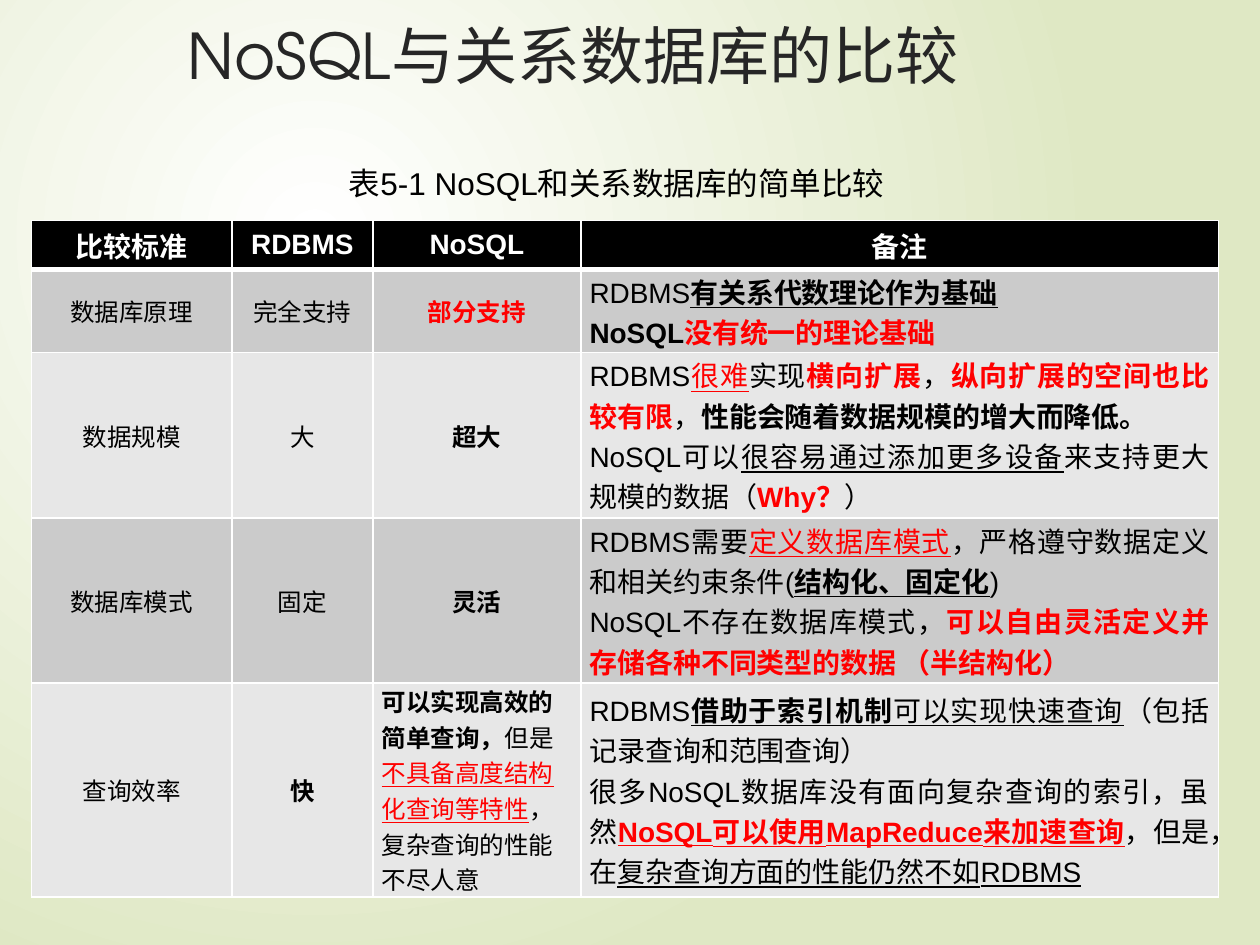
from lxml import etree
from pptx import Presentation
from pptx.dml.color import RGBColor
from pptx.enum.text import MSO_ANCHOR, PP_ALIGN
from pptx.oxml.ns import qn
from pptx.util import Inches, Pt

TOP, MIDDLE = MSO_ANCHOR.TOP, MSO_ANCHOR.MIDDLE
LEFT, CENTER, JUSTIFY = PP_ALIGN.LEFT, PP_ALIGN.CENTER, PP_ALIGN.JUSTIFY

WHITE, BLACK, RED = "FFFFFF", "000000", "FF0000"
BANDS = ["CBCBCB", "E7E7E7"]
COLUMN_WIDTHS = [1.59, 1.12, 1.65, 5.06]
ROW_HEIGHTS = [0.39, 0.66, 1.31, 1.31, 1.7]

HEADINGS = ["比较标准", "RDBMS", "NoSQL", "备注"]

# A cell is a list of paragraphs, a paragraph a list of (text, marks):
# b is bold, u is underlined, r is red.
COMPARISON = [
    [
        [[("数据库原理", "")]],
        [[("完全支持", "")]],
        [[("部分支持", "br")]],
        [[("RDBMS", ""), ("有关系代数理论作为基础", "bu")],
         [("NoSQL", "b"), ("没有统一的理论基础", "br")]],
    ],
    [
        [[("数据规模", "")]],
        [[("大", "")]],
        [[("超大", "b")]],
        [[("RDBMS", ""), ("很难", "ur"), ("实现", ""), ("横向扩展", "br"), ("，", ""),
          ("纵向扩展的空间也比较有限", "br"), ("，", ""),
          ("性能会随着数据规模的增大而降低。", "b")],
         [("NoSQL可以", ""), ("很容易通过添加更多设备", "u"),
          ("来支持更大规模的数据（", ""), ("Why？", "br"), ("）", "")]],
    ],
    [
        [[("数据库模式", "")]],
        [[("固定", "")]],
        [[("灵活", "b")]],
        [[("RDBMS需要", ""), ("定义数据库模式", "ur"),
          ("，严格遵守数据定义和相关约束条件(", ""), ("结构化、固定化", "bu"), (")", "")],
         [("NoSQL不存在数据库模式，", ""),
          ("可以自由灵活定义并存储各种不同类型的数据 （半结构化）", "br")]],
    ],
    [
        [[("查询效率", "")]],
        [[("快", "b")]],
        [[("可以实现高效的简单查询，", "b"), ("但是", ""),
          ("不具备高度结构化查询等特性", "ur"), ("，复杂查询的性能不尽人意", "")]],
        [[("RDBMS", ""), ("借助于索引机制", "bu"), ("可以实现快速查询", "u"),
          ("（包括记录查询和范围查询）", "")],
         [("很多NoSQL数据库没有面向复杂查询的索引，虽然", ""),
          ("NoSQL可以使用MapReduce来加速查询", "bur"), ("，但是，在", ""),
          ("复杂查询方面的性能仍然不如RDBMS", "u")]],
    ],
]


def rgb(value):
    return RGBColor.from_string(value)


class ComparisonSlide:
    body_font = "Arial"
    title_font = "TeX Gyre Adventor"

    def __init__(self, slide):
        self.slide = slide

    def background(self, center, edge):
        """Fill the background with a circular gradient."""
        fill = self.slide.background.fill
        fill.gradient()
        for stop, color, position in zip(fill.gradient_stops, (center, edge), (0, 1)):
            stop.color.rgb = rgb(color)
            stop.position = position
        gradient = self.slide.background._cSld.find(".//" + qn("a:gradFill"))
        linear = gradient.find(qn("a:lin"))
        circle = etree.Element(qn("a:path"), path="circle")
        etree.SubElement(circle, qn("a:fillToRect"),
                         l="50000", t="50000", r="100000", b="100000")
        gradient.replace(linear, circle)

    def text(self, words, left, top, width, height, size, color, font, anchor):
        box = self.slide.shapes.add_textbox(
            Inches(left), Inches(top), Inches(width), Inches(height))
        frame = box.text_frame
        frame.word_wrap = True
        frame.vertical_anchor = anchor
        paragraph = frame.paragraphs[0]
        paragraph.text = words
        paragraph.font.size = Pt(size)
        paragraph.font.name = font
        paragraph.font.color.rgb = rgb(color)

    def table(self, left, top, widths, heights):
        table = self.slide.shapes.add_table(
            len(heights), len(widths), Inches(left), Inches(top),
            Inches(sum(widths)), Inches(sum(heights))).table
        for column, width in zip(table.columns, widths):
            column.width = Inches(width)
        for row, height in zip(table.rows, heights):
            row.height = Inches(height)
        return table

    def cell(self, cell, paragraphs, fill, size, align, color=BLACK, top=1, bottom=1):
        cell.margin_left = cell.margin_right = Inches(0.07)
        cell.margin_top = cell.margin_bottom = 0
        cell.vertical_anchor = MIDDLE
        self.borders(cell, {"L": 1, "R": 1, "T": top, "B": bottom})
        cell.fill.solid()
        cell.fill.fore_color.rgb = rgb(fill)
        frame = cell.text_frame
        for index, runs in enumerate(paragraphs):
            paragraph = frame.add_paragraph() if index else frame.paragraphs[0]
            paragraph.alignment = align
            paragraph.font.size = Pt(size)
            paragraph.font.name = self.body_font
            for words, marks in runs:
                run = paragraph.add_run()
                run.text = words
                run.font.bold = "b" in marks
                run.font.underline = "u" in marks
                run.font.color.rgb = rgb(RED if "r" in marks else color)

    def borders(self, cell, widths):
        properties = cell._tc.get_or_add_tcPr()
        for side, width in widths.items():
            line = etree.SubElement(properties, qn("a:ln" + side), w=str(Pt(width)))
            solid = etree.SubElement(line, qn("a:solidFill"))
            etree.SubElement(solid, qn("a:srgbClr"), val=WHITE)


def main():
    deck = Presentation()
    deck.slide_width, deck.slide_height = Inches(10), Inches(7.5)
    page = ComparisonSlide(deck.slides.add_slide(deck.slide_layouts[6]))
    page.background(WHITE, "DFE8C4")
    page.text(" NoSQL与关系数据库的比较", 1.25, 0.08, 8.75, 1, 36, "262626",
              page.title_font, TOP)

    table = page.table(0.25, 1.75, COLUMN_WIDTHS, ROW_HEIGHTS)
    for column, heading in enumerate(HEADINGS):
        page.cell(table.cell(0, column), [[(heading, "b")]], BLACK, 16, CENTER,
                  color=WHITE, bottom=3)
    remarks = len(HEADINGS) - 1
    for row, criteria in enumerate(COMPARISON, start=1):
        for column, paragraphs in enumerate(criteria):
            long_text = len(paragraphs[0]) > 1
            align = JUSTIFY if column == remarks else LEFT if long_text else CENTER
            page.cell(table.cell(row, column), paragraphs, BANDS[(row - 1) % 2],
                      16 if column == remarks else 14, align,
                      top=3 if row == 1 else 1)

    page.text("表5-1 NoSQL和关系数据库的简单比较", 2.67, 1.25, 4.52, 0.4, 18, BLACK,
              page.body_font, MIDDLE)
    deck.save("out.pptx")


if __name__ == "__main__":
    main()
